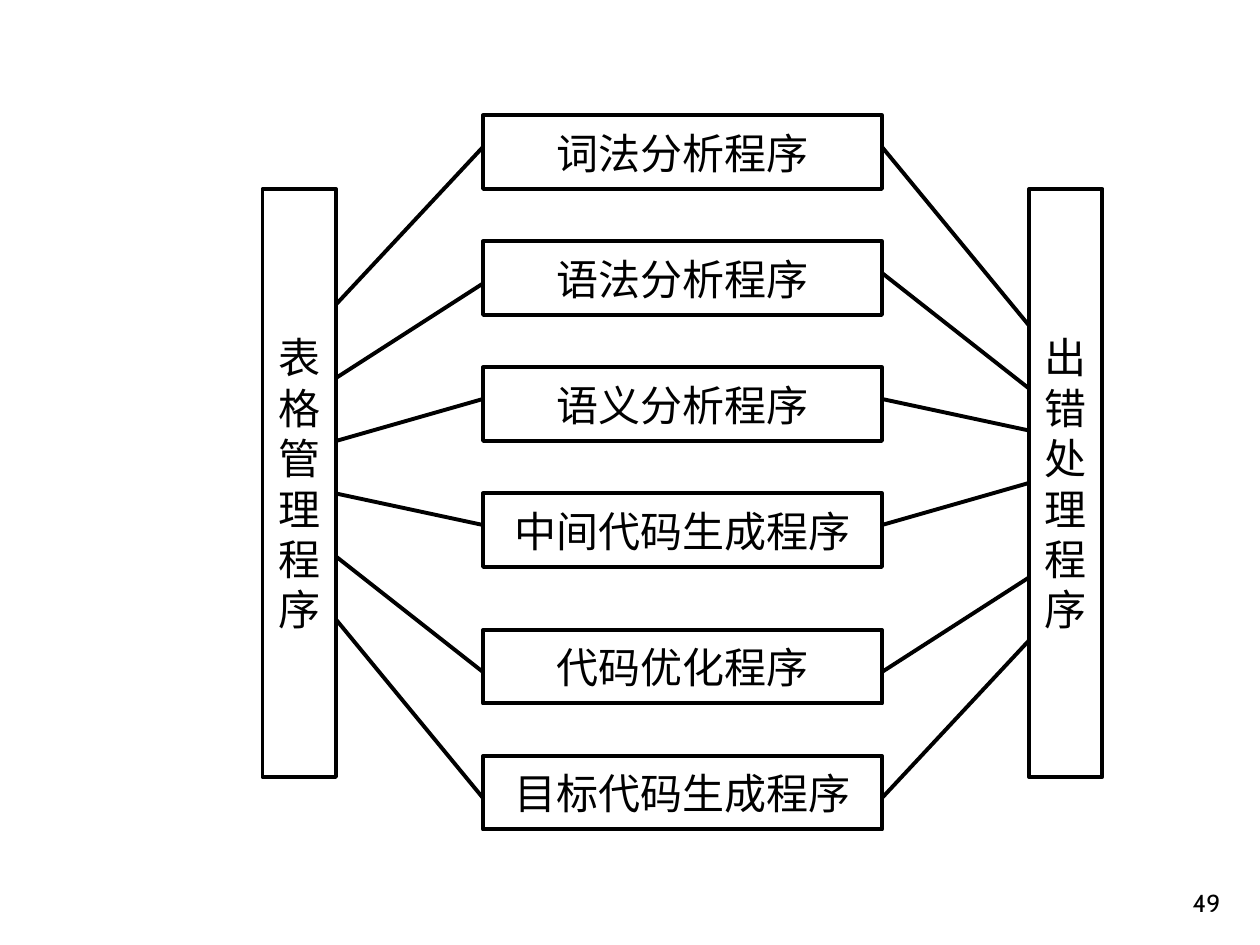
import dataclasses

import pptx
import pptx.dml.color
import pptx.enum.shapes
import pptx.enum.text
import pptx.oxml.ns
import pptx.util
from lxml import etree


@dataclasses.dataclass(frozen=True)
class Theme:
    """Colours, fonts, sizes and the grid unit of the slide."""
    ink: pptx.dml.color.RGBColor = pptx.dml.color.RGBColor(0, 0, 0)
    paper: pptx.dml.color.RGBColor = pptx.dml.color.RGBColor(255, 255, 255)
    label_font: str = "Noto Sans CJK JP"
    number_font: str = "Cabin"
    label_size: int = 24
    number_size: int = 14
    line_width: float = 2.25
    cells_per_inch: int = 12


THEME = Theme()
PILLAR_WIDTH, PILLAR_HEIGHT, PILLAR_TOP = 7, 56, 7
STAGE_LEFT, STAGE_WIDTH, STAGE_HEIGHT = 21, 38, 7
STAGES = [
    ("词法分析程序", 0),
    ("语法分析程序", 12),
    ("语义分析程序", 24),
    ("中间代码生成程序", 36),
    ("代码优化程序", 49),
    ("目标代码生成程序", 61),
]
LEFT_LINKS = [(18, 3), (25, 16), (31, 27), (36, 39), (42, 53), (48, 65)]
RIGHT_LINKS = [(20, 3), (26, 15), (30, 27), (35, 39), (44, 53), (50, 65)]


def cells(count):
    """Convert grid cells to a length."""
    return pptx.util.Inches(count / THEME.cells_per_inch)


def write_lines(frame, lines, font, size, alignment):
    """Fill a text frame with one paragraph for each line."""
    for index, line in enumerate(lines):
        paragraph = frame.add_paragraph() if index else frame.paragraphs[0]
        paragraph.text = line
        paragraph.alignment = alignment
        paragraph.font.name = font
        paragraph.font.size = pptx.util.Pt(size)
        paragraph.font.color.rgb = THEME.ink
        defaults = paragraph._p.pPr.find(pptx.oxml.ns.qn("a:defRPr"))
        etree.SubElement(defaults, pptx.oxml.ns.qn("a:ea"), typeface=font)


def add_program(slide, left, top, width, height, lines):
    """Draw an outlined program box with centred lines of text."""
    shape = slide.shapes.add_shape(
        pptx.enum.shapes.MSO_SHAPE.RECTANGLE,
        cells(left), cells(top), cells(width), cells(height))
    shape.shadow.inherit = False
    shape.fill.solid()
    shape.fill.fore_color.rgb = THEME.paper
    shape.line.color.rgb = THEME.ink
    shape.line.width = pptx.util.Pt(THEME.line_width)
    shape.text_frame.word_wrap = False
    shape.text_frame.vertical_anchor = pptx.enum.text.MSO_ANCHOR.MIDDLE
    write_lines(shape.text_frame, lines, THEME.label_font, THEME.label_size,
                pptx.enum.text.PP_ALIGN.CENTER)


def add_link(slide, start_x, start_y, end_x, end_y):
    """Draw a straight line between two grid points."""
    connector = slide.shapes.add_connector(
        pptx.enum.shapes.MSO_CONNECTOR.STRAIGHT,
        cells(start_x), cells(start_y), cells(end_x), cells(end_y))
    connector.line.color.rgb = THEME.ink
    connector.line.width = pptx.util.Pt(THEME.line_width)
    etree.SubElement(connector._element.spPr, pptx.oxml.ns.qn("a:effectLst"))


def add_compiler_diagram(slide, left, top, width):
    """Place the stages, the two side programs and their links in a box."""
    stage_left = left + STAGE_LEFT
    right_pillar = left + width - PILLAR_WIDTH
    for name, offset in STAGES:
        add_program(slide, stage_left, top + offset,
                    STAGE_WIDTH, STAGE_HEIGHT, [name])
    sides = [
        ("表格管理程序", left, left + PILLAR_WIDTH, stage_left, LEFT_LINKS),
        ("出错处理程序", right_pillar, right_pillar,
         stage_left + STAGE_WIDTH, RIGHT_LINKS),
    ]
    for name, pillar_left, pillar_edge, stage_edge, links in sides:
        add_program(slide, pillar_left, top + PILLAR_TOP,
                    PILLAR_WIDTH, PILLAR_HEIGHT, name)
        for pillar_y, stage_y in links:
            add_link(slide, stage_edge, top + stage_y,
                     pillar_edge, top + pillar_y)


def add_page_number(slide, left, top, width, height, number):
    """Write the page number at the bottom right of its box."""
    box = slide.shapes.add_textbox(
        cells(left), cells(top), cells(width), cells(height))
    box.text_frame.word_wrap = True
    box.text_frame.vertical_anchor = pptx.enum.text.MSO_ANCHOR.BOTTOM
    write_lines(box.text_frame, [number], THEME.number_font,
                THEME.number_size, pptx.enum.text.PP_ALIGN.RIGHT)


def main():
    """Build and save the slide."""
    presentation = pptx.Presentation()
    presentation.slide_width = cells(120)
    presentation.slide_height = cells(90)
    slide = presentation.slides.add_slide(presentation.slide_layouts[6])
    add_compiler_diagram(slide, 25, 11, 80)
    add_page_number(slide, 92.4, 82, 25, 6, "49")
    presentation.save("out.pptx")


if __name__ == "__main__":
    main()
